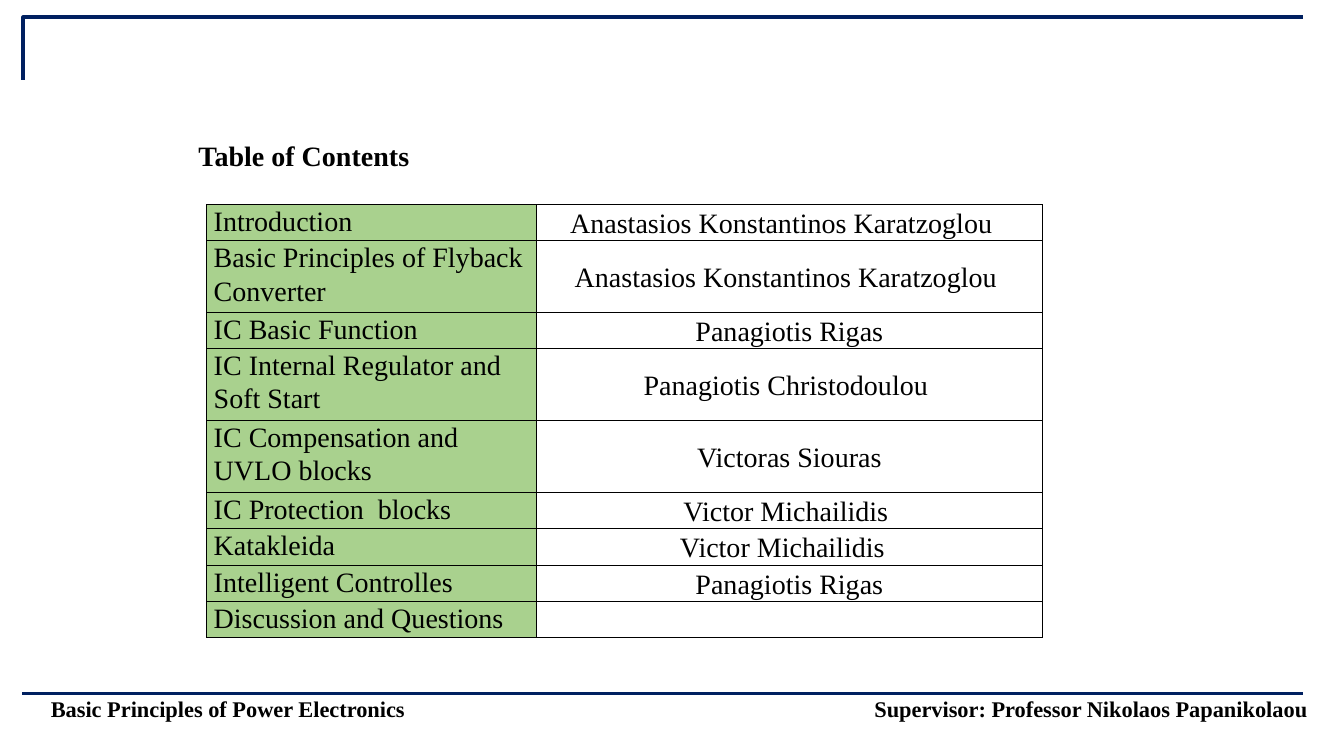
"""Build a table of contents slide with a ruled header and footer."""
from lxml import etree
from pptx import Presentation
from pptx.dml.color import RGBColor
from pptx.enum.shapes import MSO_CONNECTOR
from pptx.enum.text import MSO_ANCHOR, PP_ALIGN
from pptx.oxml.ns import qn
from pptx.util import Inches, Pt

LEFT, CENTER = PP_ALIGN.LEFT, PP_ALIGN.CENTER
TOP, MIDDLE = MSO_ANCHOR.TOP, MSO_ANCHOR.MIDDLE
STRAIGHT = MSO_CONNECTOR.STRAIGHT
FONT = "Times New Roman"
COLORS = {"text": "000000", "rule": "002060", "topic": "A9D18E", "border": "000000"}
CELL_MARGIN = 0.07
ROW_HEIGHT = 0.34
COLUMN_WIDTHS = (3.27, 5.02)
BORDER_SIDES = ("a:lnL", "a:lnR", "a:lnT", "a:lnB")
CONTENTS = [
    ("Introduction", "Anastasios Konstantinos Karatzoglou", 0.16),
    ("Basic Principles of Flyback Converter", "Anastasios Konstantinos Karatzoglou", 0.07),
    ("IC Basic Function", "Panagiotis Rigas", 0),
    ("IC Internal Regulator and Soft Start", "Panagiotis Christodoulou", 0.07),
    ("IC Compensation and UVLO blocks", "Victoras Siouras", 0),
    ("IC Protection  blocks", "Victor Michailidis", 0.07),
    ("Katakleida", "Victor Michailidis", 0.14),
    ("Intelligent Controlles", "Panagiotis Rigas", 0),
    ("Discussion and Questions", "", 0),
]


def color(name):
    """Return the named colour."""
    return RGBColor.from_string(COLORS[name])


def write(frame, text, size=20, bold=False, align=LEFT, spacing=None, after=None):
    """Write one formatted paragraph into a text frame."""
    para = frame.paragraphs[0]
    para.alignment = align
    para.line_spacing = spacing
    para.space_after = None if after is None else Pt(after)
    span = para.add_run()
    span.text = text
    span.font.name = FONT
    span.font.size = Pt(size)
    span.font.bold = bold
    span.font.color.rgb = color("text")


def add_text(page, text, left, top, width, height, **style):
    """Add a wrapping text box."""
    box = page.shapes.add_textbox(Inches(left), Inches(top), Inches(width), Inches(height))
    box.text_frame.word_wrap = True
    write(box.text_frame, text, bold=True, **style)


def style_rule(rule):
    """Give a rule its colour and width."""
    rule.line.color.rgb = color("rule")
    rule.line.width = Pt(2.5)


def add_footer_rule(page):
    """Add the straight line above the footer."""
    rule = page.shapes.add_connector(STRAIGHT, Inches(0.22), Inches(6.88), Inches(12.92), Inches(6.88))
    style_rule(rule)
    etree.SubElement(rule._element.spPr, qn("a:effectLst"))


def add_header_rule(page):
    """Add the open corner line at the top."""
    builder = page.shapes.build_freeform(Inches(0.23), Inches(0.79))
    corner = [(Inches(0.23), Inches(0.17)), (Inches(12.92), Inches(0.17))]
    builder.add_line_segments(corner, close=False)
    rule = builder.convert_to_shape()
    rule.fill.background()
    rule.shadow.inherit = False
    style_rule(rule)


def add_borders(cell):
    """Draw a thin line on each side of a cell."""
    properties = cell._tc.get_or_add_tcPr()
    for index, side in enumerate(BORDER_SIDES):
        line = etree.Element(qn(side), w=str(Pt(1)))
        fill = etree.SubElement(line, qn("a:solidFill"))
        etree.SubElement(fill, qn("a:srgbClr"), val=COLORS["border"])
        properties.insert(index, line)


def fill_cell(cell, text, align, anchor, shift=0, fill=None):
    """Write and format one table cell."""
    cell.margin_left = Inches(CELL_MARGIN)
    cell.margin_right = Inches(CELL_MARGIN + shift)
    cell.margin_top = cell.margin_bottom = 0
    cell.vertical_anchor = anchor
    if fill:
        cell.fill.solid()
        cell.fill.fore_color.rgb = color(fill)
    else:
        cell.fill.background()
    add_borders(cell)
    write(cell.text_frame, text, align=align, spacing=1.07, after=8)


def add_contents(page):
    """Add the table of topics and speakers."""
    frame = page.shapes.add_table(
        len(CONTENTS), len(COLUMN_WIDTHS), Inches(2.05), Inches(2.03),
        Inches(sum(COLUMN_WIDTHS)), Inches(ROW_HEIGHT * len(CONTENTS)))
    table = frame.table
    table.first_row = table.horz_banding = False
    for column, width in zip(table.columns, COLUMN_WIDTHS):
        column.width = Inches(width)
    for index, (topic, speaker, shift) in enumerate(CONTENTS):
        table.rows[index].height = Inches(0.37 if topic == "Katakleida" else ROW_HEIGHT)
        fill_cell(table.cell(index, 0), topic, LEFT, TOP, fill="topic")
        fill_cell(table.cell(index, 1), speaker, CENTER, MIDDLE, shift=shift)


def main():
    """Build and save the deck."""
    deck = Presentation()
    deck.slide_width, deck.slide_height = Inches(13.33), Inches(7.5)
    page = deck.slides.add_slide(deck.slide_layouts[6])
    footer = {"size": 16, "align": CENTER, "spacing": 0.9}
    add_text(page, "Basic Principles of Power Electronics", 0.22, 6.88, 4.08, 0.32, **footer)
    add_header_rule(page)
    add_footer_rule(page)
    add_text(page, "Supervisor: Professor Nikolaos Papanikolaou", 8.18, 6.88, 5.28, 0.32, **footer)
    add_contents(page)
    add_text(page, "Table of Contents", 1.87, 1.32, 8.47, 0.44)
    deck.save("out.pptx")


if __name__ == "__main__":
    main()
